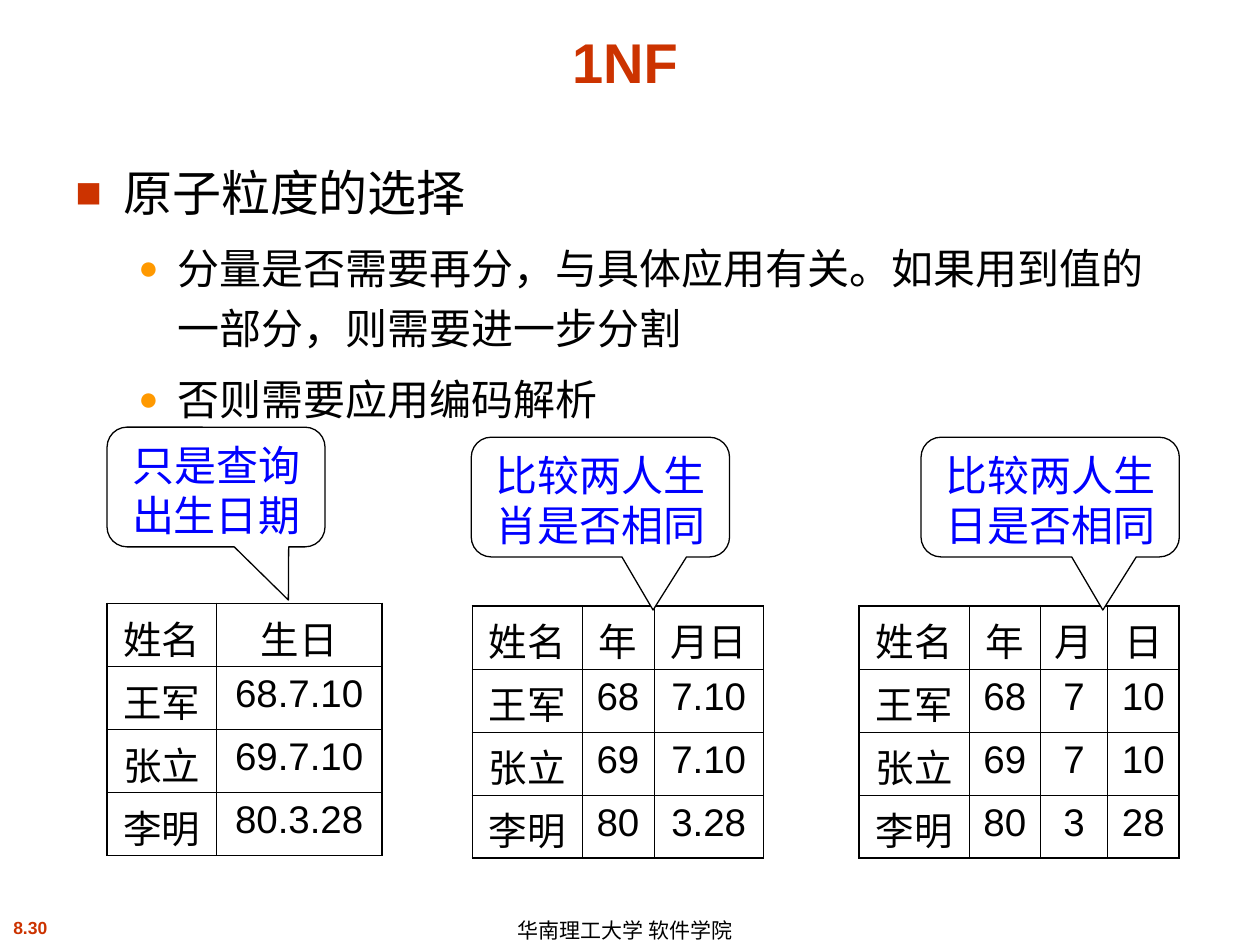
from dataclasses import dataclass

from lxml.etree import SubElement
from pptx import Presentation
from pptx.dml.color import RGBColor
from pptx.enum.shapes import MSO_SHAPE
from pptx.enum.text import MSO_ANCHOR as ANCHOR, MSO_AUTO_SIZE as AUTO, PP_ALIGN as ALIGN
from pptx.oxml.ns import qn
from pptx.util import Inches, Pt


@dataclass(frozen=True)
class Theme:
    font: str = "Arial"
    callout_font: str = "Cabin"
    accent: str = "CC3300"
    bullet: str = "FF9900"
    ink: str = "000000"
    note: str = "0000FF"
    paper: str = "FFFFFF"
    title: int = 32
    heading: int = 28
    body: int = 24
    cell: int = 22
    footer: int = 12
    number: int = 10
    outer_line: float = 1.08
    inner_line: float = 0.45
    callout_line: float = 0.75


T = Theme()


def rgb(color):
    return RGBColor.from_string(color)


def place(sp, box):
    sp.left, sp.top, sp.width, sp.height = map(Inches, box)


def write(p, text, size, color=T.ink, bold=False, font=T.font):
    r = p.add_run()
    r.text = text
    r.font.name, r.font.size, r.font.bold = font, Pt(size), bold
    r.font.color.rgb = rgb(color)


def add_title(s, box, text):
    sp = s.shapes.title
    place(sp, box)
    tf = sp.text_frame
    tf.auto_size = AUTO.NONE
    tf.vertical_anchor = ANCHOR.BOTTOM
    p = tf.paragraphs[0]
    p.alignment = ALIGN.CENTER
    write(p, text, T.title, T.accent, True)


def add_bullet(p, char, color, percent, left, hanging):
    pPr = p._p.get_or_add_pPr()
    pPr.set("marL", str(Inches(left)))
    pPr.set("indent", str(-Inches(hanging)))
    SubElement(SubElement(pPr, qn("a:buClr")), qn("a:srgbClr"), val=color)
    SubElement(pPr, qn("a:buSzPct"), val=str(percent * 1000))
    SubElement(pPr, qn("a:buFont"), typeface=T.font)
    SubElement(pPr, qn("a:buChar"), char=char)


def add_body(s, box, heading, points):
    tf = s.shapes.add_textbox(*map(Inches, box)).text_frame
    tf.word_wrap = True
    p = tf.paragraphs[0]
    p.line_spacing = 1.2
    add_bullet(p, "■", T.accent, 90, 0.38, 0.38)
    write(p, heading, T.heading)
    for point in points:
        p = tf.add_paragraph()
        p.level = 1
        p.line_spacing = 1.2
        p.space_before = Pt(6)
        add_bullet(p, "●", T.bullet, 80, 0.81, 0.31)
        write(p, point, T.body)


def set_borders(cell, widths):
    tcPr = cell._tc.get_or_add_tcPr()
    for i, (side, width) in enumerate(widths.items()):
        ln = tcPr.makeelement(qn("a:ln" + side), {"w": str(Pt(width))})
        fill = SubElement(ln, qn("a:solidFill"))
        SubElement(fill, qn("a:srgbClr"), val=T.ink)
        tcPr.insert(i, ln)


def add_data_table(s, left, top, widths, rows):
    last_row, last_col = len(rows) - 1, len(widths) - 1
    row_height = 0.5
    frame = s.shapes.add_table(len(rows), len(widths), Inches(left), Inches(top),
                               Inches(sum(widths)), Inches(row_height * len(rows)))
    table = frame.table
    table.first_row = table.horz_banding = False
    for column, width in zip(table.columns, widths):
        column.width = Inches(width)
    for i, row in enumerate(rows):
        table.rows[i].height = Inches(row_height)
        for j, text in enumerate(row):
            cell = table.cell(i, j)
            cell.fill.background()
            edges = {"L": j == 0, "R": j == last_col, "T": i == 0, "B": i == last_row}
            set_borders(cell, {side: T.outer_line if outer else T.inner_line
                               for side, outer in edges.items()})
            p = cell.text_frame.paragraphs[0]
            p.alignment = ALIGN.CENTER
            write(p, text, T.cell)


def add_callout(s, box, tip_x, text):
    sp = s.shapes.add_shape(MSO_SHAPE.ROUNDED_RECTANGULAR_CALLOUT, *map(Inches, box))
    sp.shadow.inherit = False
    for i, value in enumerate((tip_x, 0.944, 0.167)):
        sp.adjustments[i] = value
    sp.fill.solid()
    sp.fill.fore_color.rgb = rgb(T.paper)
    sp.line.color.rgb = rgb(T.ink)
    sp.line.width = Pt(T.callout_line)
    tf = sp.text_frame
    tf.word_wrap = True
    tf.vertical_anchor = ANCHOR.TOP
    p = tf.paragraphs[0]
    p.alignment = ALIGN.CENTER
    write(p, text, T.body, T.note, font=T.callout_font)


def add_footer(s, number_box, school_box, number, school):
    tf = s.shapes.add_textbox(*map(Inches, number_box)).text_frame
    tf.word_wrap = False
    p = tf.paragraphs[0]
    p.alignment = ALIGN.CENTER
    write(p, number, T.number, T.accent, True)

    tf = s.shapes.add_textbox(*map(Inches, school_box)).text_frame
    tf.word_wrap = False
    tf.vertical_anchor = ANCHOR.MIDDLE
    p = tf.paragraphs[0]
    p.line_spacing = 1.1
    write(p, school, T.footer)


def main():
    prs = Presentation()
    prs.slide_width, prs.slide_height = Inches(10), Inches(7.5)
    s = prs.slides.add_slide(prs.slide_layouts[5])

    add_footer(s, (-0.25, 7.23, 0.98, 0.27), (4.01, 7.25, 2.24, 0.25),
               "8.30", "华南理工大学 软件学院")
    add_title(s, (0.25, 0.13, 9.42, 0.67), "1NF")
    add_body(s, (0.5, 1.15, 9, 4.95), "原子粒度的选择", [
        "分量是否需要再分，与具体应用有关。如果用到值的一部分，则需要进一步分割",
        "否则需要应用编码解析",
    ])

    names = ("姓名", "王军", "张立", "李明")
    years = ("年", "68", "69", "80")
    examples = [
        (0.85, 4.79, (0.87, 1.31),
         (names, ("生日", "68.7.10", "69.7.10", "80.3.28")),
         (0.85, 3.39, 1.73, 0.95), 0.332, "只是查询出生日期"),
        (3.75, 4.81, (0.87, 0.57, 0.87),
         (names, years, ("月日", "7.10", "7.10", "3.28")),
         (3.74, 3.47, 2.05, 0.95), 0.204, "比较两人生肖是否相同"),
        (6.82, 4.81, (0.87, 0.57, 0.53, 0.57),
         (names, years, ("月", "7", "7", "3"), ("日", "10", "10", "28")),
         (7.31, 3.47, 2.05, 0.95), 0.204, "比较两人生日是否相同"),
    ]
    for left, top, widths, columns, callout_box, tip_x, question in examples:
        add_data_table(s, left, top, widths, list(zip(*columns)))
        add_callout(s, callout_box, tip_x, question)

    prs.save("out.pptx")


if __name__ == "__main__":
    main()
